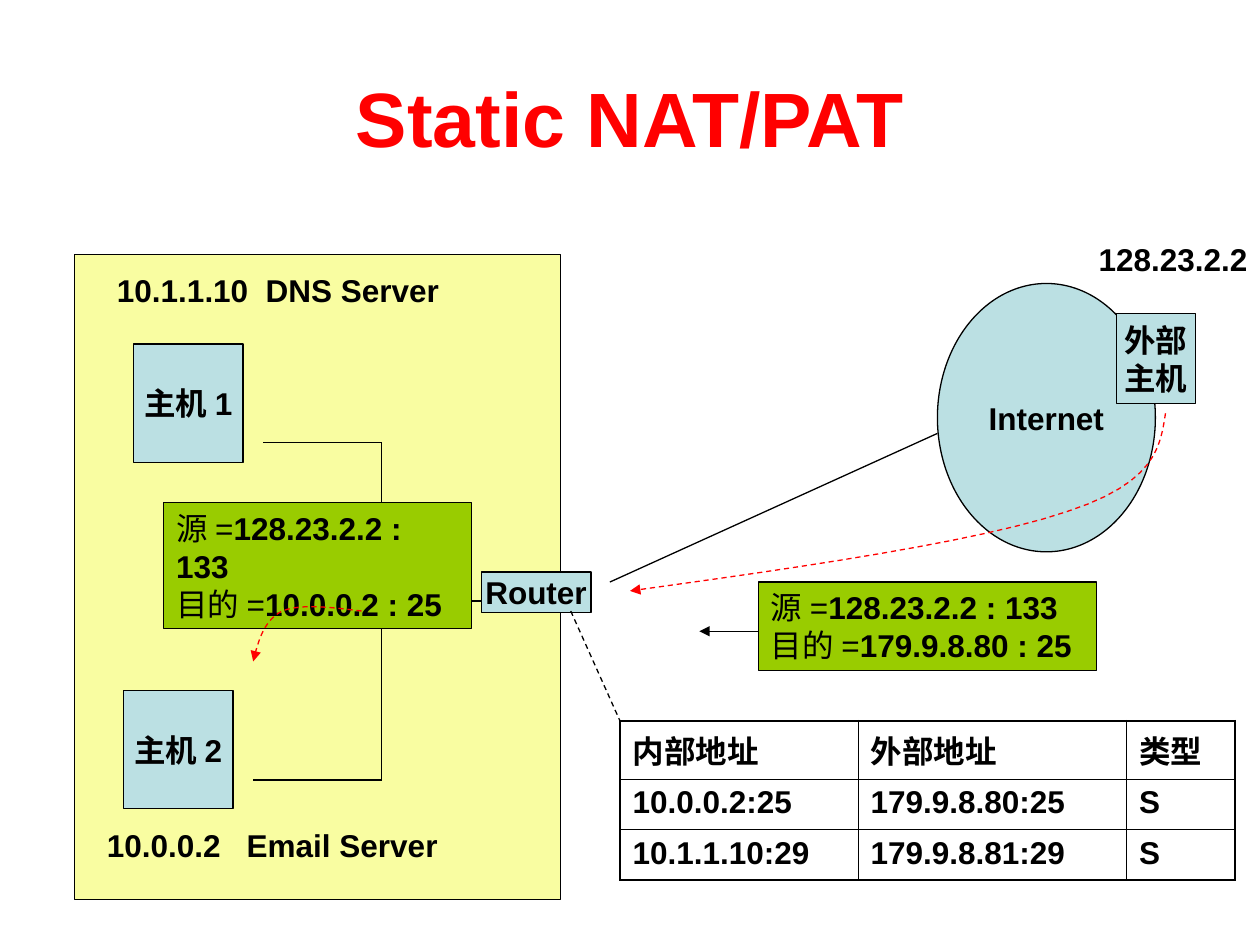
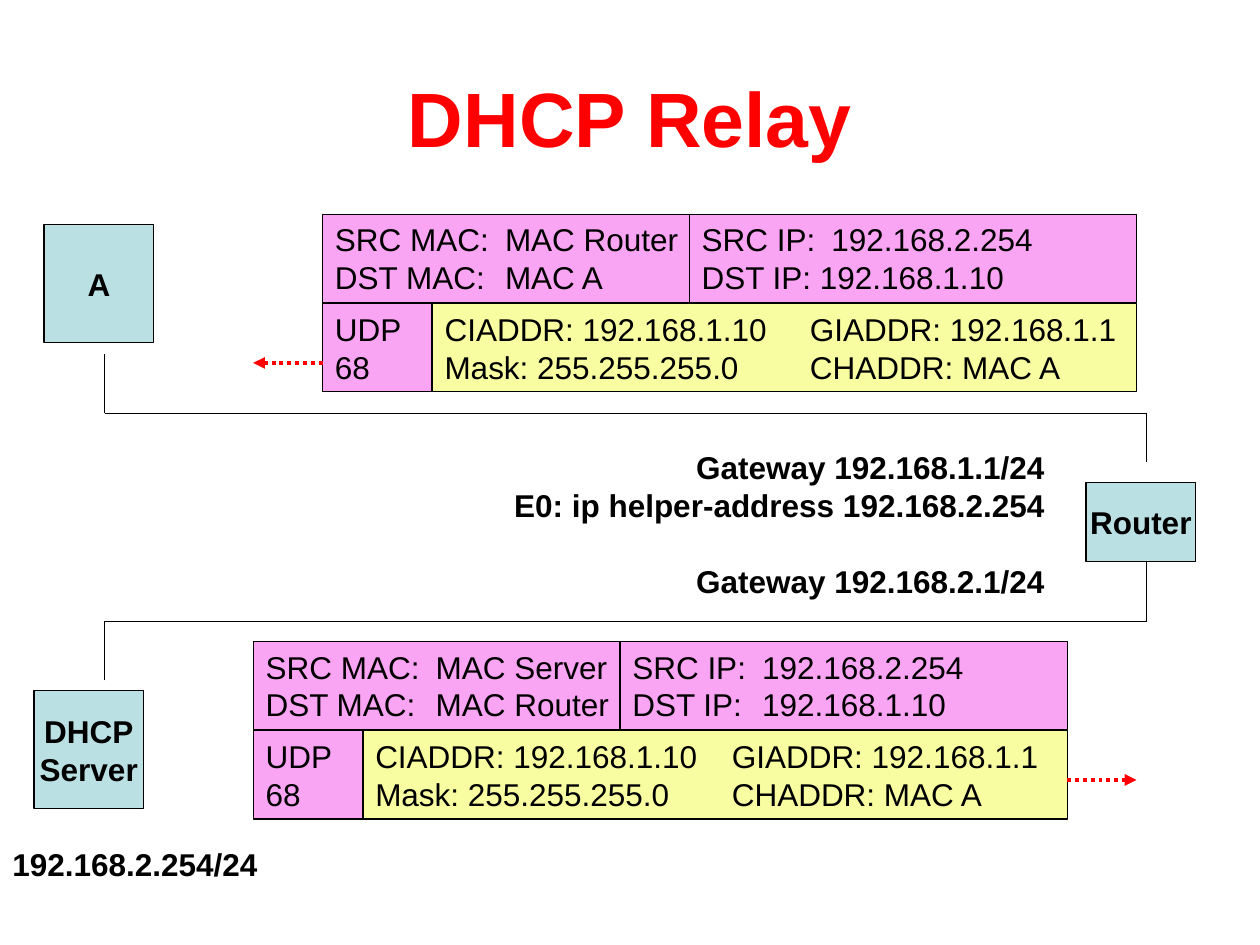
from dataclasses import dataclass
from itertools import pairwise

from lxml import etree
from pptx import Presentation
from pptx.dml.color import RGBColor
from pptx.enum.dml import MSO_LINE
from pptx.enum.shapes import MSO_CONNECTOR, MSO_SHAPE
from pptx.enum.text import MSO_ANCHOR, MSO_AUTO_SIZE, PP_ALIGN
from pptx.oxml.ns import qn
from pptx.util import Inches, Pt

STRAIGHT = MSO_CONNECTOR.STRAIGHT
RECTANGLE, OVAL = MSO_SHAPE.RECTANGLE, MSO_SHAPE.OVAL
DASH, DOT = MSO_LINE.DASH, MSO_LINE.ROUND_DOT
LEFT, CENTER, RIGHT = PP_ALIGN.LEFT, PP_ALIGN.CENTER, PP_ALIGN.RIGHT
TOP, MIDDLE = MSO_ANCHOR.TOP, MSO_ANCHOR.MIDDLE
NO_AUTOSIZE = MSO_AUTO_SIZE.NONE
TITLE_ONLY = 5
COLUMNS, ROWS = 100, 75
CURVE_STEPS = 12


@dataclass(frozen=True)
class Theme:
    """Colours, font and type sizes shared by both slides."""
    font: str = "Arial"
    ink: str = "000000"
    accent: str = "FF0000"
    node: str = "BBE0E3"
    pale: str = "F9FDA1"
    packet: str = "99CC00"
    header: str = "FAA4F4"
    title_size: float = 44
    body_size: float = 18
    thin: float = 0.75
    thick: float = 2.25
    table_inner: float = 0.45
    table_outer: float = 1.08


THEME = Theme()


def grid(units):
    """Convert grid units to a slide length."""
    return Inches(units * 10 / COLUMNS)


@dataclass(frozen=True)
class Box:
    """A rectangle measured in grid columns and rows."""
    left: float
    top: float
    width: float
    height: float

    def area(self, left, top, width, height):
        """Return a box placed relative to this one."""
        return Box(self.left + left, self.top + top, width, height)

    def point(self, x, y):
        """Return a grid point placed relative to this box."""
        return self.left + x, self.top + y

    def lengths(self):
        """Return the position and size as slide lengths."""
        return [grid(unit) for unit in (self.left, self.top, self.width, self.height)]


def write_text(frame, lines, size=THEME.body_size, color=THEME.ink, bold=False,
               align=LEFT, anchor=TOP, wrap=True, tab=None, last_gap=0):
    """Write lines, each a string or a list of (text, bold) runs."""
    frame.auto_size = NO_AUTOSIZE
    frame.word_wrap = wrap
    frame.vertical_anchor = anchor
    for index, line in enumerate(lines):
        paragraph = frame.paragraphs[0] if index == 0 else frame.add_paragraph()
        paragraph.alignment = align
        if last_gap and index == len(lines) - 1:
            paragraph.space_before = Pt(last_gap)
        if tab:
            tabs = etree.SubElement(paragraph._p.get_or_add_pPr(), qn("a:tabLst"))
            etree.SubElement(tabs, qn("a:tab"), pos=str(grid(tab)), algn="l")
        for text, run_bold in [(line, bold)] if isinstance(line, str) else line:
            run = paragraph.add_run()
            run.text = text
            run.font.name = THEME.font
            run.font.size = Pt(size)
            run.font.bold = run_bold
            run.font.color.rgb = RGBColor.from_string(color)


def style_line(line, color=THEME.ink, width=THEME.thin, dash=None, arrow=False):
    """Format an outline, with an optional arrowhead at its end."""
    line.color.rgb = RGBColor.from_string(color)
    line.width = Pt(width)
    if dash:
        line.dash_style = dash
    if arrow:
        etree.SubElement(line._get_or_add_ln(), qn("a:tailEnd"), type="triangle")


def add_panel(slide, box, fill, lines=(), kind=RECTANGLE, **text_format):
    """Draw a filled, outlined shape with text."""
    shape = slide.shapes.add_shape(kind, *box.lengths())
    shape.shadow.inherit = False
    shape.fill.solid()
    shape.fill.fore_color.rgb = RGBColor.from_string(fill)
    style_line(shape.line)
    write_text(shape.text_frame, lines, **text_format)


def add_node(slide, box, *lines, kind=RECTANGLE):
    """Draw a network node with a bold centred name."""
    add_panel(slide, box, THEME.node, lines, kind, bold=True, align=CENTER,
              anchor=MIDDLE, wrap=False)


def add_label(slide, box, *lines, **text_format):
    """Place bold text that does not wrap."""
    shape = slide.shapes.add_textbox(*box.lengths())
    write_text(shape.text_frame, lines, bold=True, wrap=False, **text_format)


def add_line(slide, start, end, **line_format):
    """Draw a straight line between two grid points."""
    connector = slide.shapes.add_connector(STRAIGHT, *map(grid, (*start, *end)))
    style_line(connector.line, **line_format)
    etree.SubElement(connector._element.spPr, qn("a:effectLst"))


def add_polyline(slide, *points):
    """Draw separate straight lines through successive grid points."""
    for start, end in pairwise(points):
        add_line(slide, start, end)


def bezier(controls, share):
    """Return the point at a share of a cubic curve."""
    rest = 1 - share
    weights = (rest ** 3, 3 * rest ** 2 * share, 3 * rest * share ** 2, share ** 3)
    return tuple(sum(weight * point[axis] for weight, point in zip(weights, controls))
                 for axis in (0, 1))


def add_flow(slide, points):
    """Draw a dashed curved arrow through joined cubic segments."""
    curve = [bezier(points[first:first + 4], step / CURVE_STEPS)
             for first in range(0, len(points) - 1, 3)
             for step in range(1, CURVE_STEPS + 1)]
    builder = slide.shapes.build_freeform(*map(grid, points[0]))
    builder.add_line_segments([tuple(map(grid, point)) for point in curve], close=False)
    shape = builder.convert_to_shape()
    shape.shadow.inherit = False
    shape.fill.background()
    style_line(shape.line, THEME.accent, dash=DASH, arrow=True)


def add_address_packet(slide, box, source, target):
    """Draw a packet showing its source and target address."""
    lines = [[("源=", False), (source, True)], [("目的=", False), (target, True)]]
    add_panel(slide, box, THEME.packet, lines)


def add_titled_slide(presentation, title):
    """Add a title-only slide and format its title."""
    slide = presentation.slides.add_slide(presentation.slide_layouts[TITLE_ONLY])
    shape = slide.shapes.title
    shape.left, shape.top, shape.width, shape.height = Box(5, 3, 90, 12.5).lengths()
    write_text(shape.text_frame, [title], size=THEME.title_size, color=THEME.accent,
               bold=True, align=CENTER, anchor=MIDDLE)
    return slide


def draw_inside(slide, box):
    """Draw the inside network with its hosts and router."""
    add_panel(slide, box, THEME.pale)
    add_node(slide, box.area(4.7, 7.1, 8.7, 9.4), "主机1")
    add_node(slide, box.area(3.9, 34.6, 8.7, 9.4), "主机2")
    add_polyline(slide, box.point(15, 14.9), box.point(24.4, 14.9),
                 box.point(24.4, 41.7), box.point(14.2, 41.7))
    add_line(slide, box.point(24.4, 27.5), box.point(32.3, 27.5))
    add_node(slide, box.area(32.3, 25.2, 8.7, 3.2), "Router")
    add_label(slide, box.area(2.4, 0.8, 27.5, 4), "10.1.1.10\tDNS Server", tab=11.8)
    add_label(slide, box.area(1.6, 44.9, 28.2, 4), "10.0.0.2\tEmail Server", tab=11.1)
    add_address_packet(slide, box.area(7.1, 19.7, 24.4, 10),
                       "128.23.2.2 : 133", "10.0.0.2 : 25")
    add_flow(slide, [box.point(*pair) for pair in (
        (22.8, 28.3), (20.4, 28), (18, 27.7), (16.5, 28.3),
        (15.1, 29), (14.6, 30.6), (14.2, 32.3))])


def draw_outside(slide, box):
    """Draw the Internet, its host and the packet sent to the router."""
    add_line(slide, box.point(0, 27.6), box.point(26, 15.8))
    add_node(slide, box.area(26, 3.9, 17.3, 21.3), "Internet", kind=OVAL)
    add_node(slide, box.area(40.2, 6.3, 6.3, 7.1), "外部", "主机")
    add_label(slide, box.area(37.8, 0, 13.8, 4), "128.23.2.2")
    add_address_packet(slide, box.area(11.8, 27.6, 26.8, 7),
                       "128.23.2.2 : 133", "179.9.8.80 : 25")
    add_flow(slide, [box.point(*pair) for pair in (
        (44.1, 14.2), (43.7, 16.9), (43.3, 19.7), (36.3, 22),
        (29.2, 24.4), (15.4, 26.4), (1.6, 28.3))])
    add_line(slide, box.point(11.8, 31.5), box.point(7.1, 31.5), arrow=True)


def add_border(cell, side, width):
    """Set one border of a table cell."""
    line = etree.SubElement(cell._tc.get_or_add_tcPr(), qn(f"a:ln{side}"), w=str(Pt(width)))
    fill = etree.SubElement(line, qn("a:solidFill"))
    etree.SubElement(fill, qn("a:srgbClr"), val=THEME.ink)


def draw_translations(slide, box):
    """Draw the address translation table and its link to the router."""
    rows = [("内部地址", "外部地址", "类型"),
            ("10.0.0.2:25", "179.9.8.80:25", "S"),
            ("10.1.1.10:29", "179.9.8.81:29", "S")]
    table = slide.shapes.add_table(len(rows), len(rows[0]), *box.lengths()).table
    table.first_row = table.horz_banding = False
    for column, width in zip(table.columns, (18.9, 21.3, 8.6)):
        column.width = grid(width)
    for row_index, row in enumerate(rows):
        for column_index, text in enumerate(row):
            cell = table.cell(row_index, column_index)
            write_text(cell.text_frame, [text], bold=True)
            edges = {"L": column_index == 0, "R": column_index == len(row) - 1,
                     "T": row_index == 0, "B": row_index == len(rows) - 1}
            for side, outer in edges.items():
                add_border(cell, side, THEME.table_outer if outer else THEME.table_inner)
            cell.fill.background()
    add_line(slide, box.point(-3.9, -8.7), box.point(0, 0), dash=DASH)


def draw_relay_packet(slide, box, macs, addresses, data, data_tab):
    """Draw a packet as a row of headers above its port and data."""
    add_panel(slide, box.area(0, 0, 29.2, 7), THEME.header, macs, wrap=False, tab=13.5)
    add_panel(slide, box.area(29.1, 0, 35.5, 7), THEME.header, addresses, tab=10.3)
    add_panel(slide, box.area(0, 7.1, 8.7, 7), THEME.header, ["UDP", "68"])
    add_panel(slide, box.area(8.7, 7.1, 55.9, 7), THEME.pale, data, tab=data_tab)


def draw_relay_network(slide, box):
    """Draw the client, server and router on their two segments."""
    right = box.width
    add_polyline(slide, box.point(0, 0), box.point(0, 4.7),
                 box.point(right, 4.7), box.point(right, 8.6))
    add_polyline(slide, box.point(0, box.height), box.point(0, 21.2),
                 box.point(right, 21.2), box.point(right, 16.5))
    add_node(slide, box.area(-4.8, -10.3, 8.7, 9.4), "A")
    add_node(slide, box.area(-5.6, 26.7, 8.7, 9.4), "DHCP", "Server")
    add_node(slide, box.area(77.9, 10.2, 8.7, 6.3), "Router")
    add_label(slide, box.area(31.5, 7, 44.1, 13), "Gateway 192.168.1.1/24",
              "E0: ip helper-address 192.168.2.254", "Gateway 192.168.2.1/24",
              align=RIGHT, last_gap=21.5)
    add_label(slide, box.area(-8.3, 38.5, 21.4, 4), "192.168.2.254/24")


def build_static_nat(presentation):
    """Build the address translation slide."""
    slide = add_titled_slide(presentation, "Static NAT/PAT")
    draw_outside(slide, Box(48.4, 18.6, 51.6, 34.6))
    draw_inside(slide, Box(5.9, 20.2, 38.6, 51.2))
    draw_translations(slide, Box(49.2, 57.2, 48.8, 12))


def build_dhcp_relay(presentation):
    """Build the relay slide."""
    slide = add_titled_slide(presentation, "DHCP Relay")
    draw_relay_network(slide, Box(8.3, 28.1, 82.7, 25.9))
    data = ["CIADDR: 192.168.1.10\tGIADDR: 192.168.1.1",
            "Mask: 255.255.255.0\tCHADDR: MAC A"]
    reply, request = Box(25.6, 17, 64.6, 14.1), Box(20.1, 50.9, 64.6, 14.1)
    draw_relay_packet(slide, reply, ["SRC MAC:\tMAC Router", "DST MAC:\tMAC A"],
                      ["SRC IP:\t192.168.2.254", "DST IP: 192.168.1.10"], data, 29)
    draw_relay_packet(slide, request, ["SRC MAC:\tMAC Server", "DST MAC:\tMAC Router"],
                      ["SRC IP:\t192.168.2.254", "DST IP:\t192.168.1.10"], data, 28.3)
    for start, end in ((reply.point(0, 11.8), reply.point(-5.5, 11.8)),
                       (request.point(64.6, 11), request.point(70.1, 11))):
        add_line(slide, start, end, color=THEME.accent, width=THEME.thick, dash=DOT, arrow=True)


def main():
    """Build and save both slides."""
    presentation = Presentation()
    presentation.slide_width, presentation.slide_height = grid(COLUMNS), grid(ROWS)
    build_static_nat(presentation)
    build_dhcp_relay(presentation)
    presentation.save("out.pptx")


if __name__ == "__main__":
    main()
